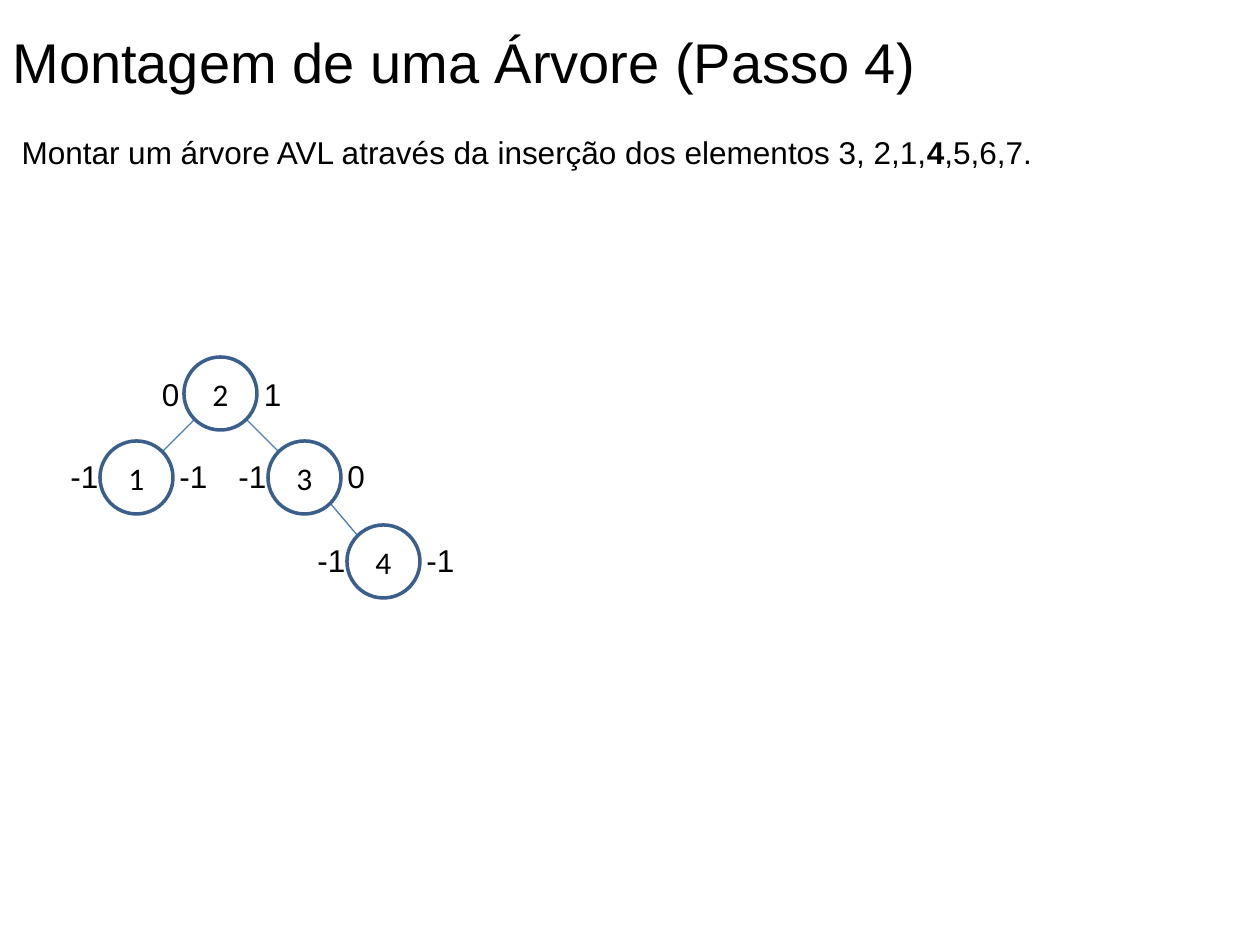
from dataclasses import dataclass
from math import sqrt

from lxml import etree
from pptx import Presentation
from pptx.dml.color import RGBColor
from pptx.enum.shapes import MSO_CONNECTOR, MSO_SHAPE
from pptx.enum.text import MSO_ANCHOR, PP_ALIGN
from pptx.oxml.ns import qn
from pptx.util import Pt

PX = 914400 / 126
OVAL = MSO_SHAPE.OVAL
STRAIGHT = MSO_CONNECTOR.STRAIGHT
MIDDLE, TOP = MSO_ANCHOR.MIDDLE, MSO_ANCHOR.TOP
LEFT, CENTER = PP_ALIGN.LEFT, PP_ALIGN.CENTER
COLORS = {"text": "000000", "outline": "3A5F8C", "edge": "4B7EBC"}
DIAMETER = 73
LABEL_HEIGHT = 50


def emu(*lengths):
    return [round(length * PX) for length in lengths]


@dataclass
class TreeSlide:
    slide: object
    colors: dict
    text_font: str = "Arial"
    node_font: str = "Calibri"

    def color(self, name):
        return RGBColor.from_string(self.colors[name])

    def format_run(self, run, size, font, bold=False):
        run.font.size = Pt(size)
        run.font.name = font
        run.font.bold = bold
        run.font.color.rgb = self.color("text")

    def text(self, box, parts, size=18, align=LEFT, wrap=False, indent=0):
        shape = self.slide.shapes.add_textbox(*emu(*box))
        frame = shape.text_frame
        frame.word_wrap = wrap
        frame.vertical_anchor = TOP
        frame.margin_left += emu(indent)[0]
        paragraph = frame.paragraphs[0]
        paragraph.alignment = align
        for content, bold in parts:
            run = paragraph.add_run()
            run.text = content
            self.format_run(run, size, self.text_font, bold)

    def node(self, left, top, value):
        shape = self.slide.shapes.add_shape(OVAL, *emu(left, top, DIAMETER, DIAMETER))
        shape.shadow.inherit = False
        shape.fill.background()
        shape.line.color.rgb = self.color("outline")
        shape.line.width = Pt(2)
        frame = shape.text_frame
        frame.text = value
        frame.vertical_anchor = MIDDLE
        paragraph = frame.paragraphs[0]
        paragraph.alignment = CENTER
        self.format_run(paragraph.runs[0], 18, self.node_font)

    def edge(self, parent, child):
        side = 1 if child[0] > parent[0] else -1
        center = DIAMETER / 2
        reach = center / sqrt(2)
        points = (
            parent[0] + center + side * reach, parent[1] + center + reach,
            child[0] + center - side * reach, child[1] + center - reach,
        )
        connector = self.slide.shapes.add_connector(STRAIGHT, *emu(*points))
        connector.line.color.rgb = self.color("edge")
        connector.line.width = Pt(0.75)
        etree.SubElement(connector._element.spPr, qn("a:effectLst"))

    def heights(self, left, top, drop, left_height, right_height):
        negative = left_height.startswith("-")
        left_offset, left_width = (42, 63) if negative else (35, 43)
        right_width = 54 if right_height.startswith("-") else 43
        align = LEFT if negative else CENTER
        labels = (
            (left - left_offset, left_width, left_height),
            (left + DIAMETER - 6, right_width, right_height),
        )
        for label_left, width, value in labels:
            box = (label_left, top + drop, width, LABEL_HEIGHT)
            self.text(box, [(value, False)], align=align)


def main():
    presentation = Presentation()
    presentation.slide_width, presentation.slide_height = emu(1260, 945)
    slide = presentation.slides.add_slide(presentation.slide_layouts[6])
    tree = TreeSlide(slide, COLORS)

    tree.text((0, 21, 951, 149), [("Montagem de uma Árvore (Passo 4)", False)], size=32)
    statement = [
        ("Montar um árvore AVL através da inserção dos elementos 3, 2,1,", False),
        ("4", True),
        (",5,6,7.", False),
    ]
    tree.text((0, 127, 1239, 50), statement, wrap=True, indent=9)

    nodes = {
        "2": (184, 357, 12, "0", "1"),
        "1": (100, 441, 10, "-1", "-1"),
        "3": (268, 441, 10, "-1", "0"),
        "4": (347, 525, 10, "-1", "-1"),
    }
    for parent, child in (("2", "1"), ("2", "3"), ("3", "4")):
        tree.edge(nodes[parent], nodes[child])
    for value, (left, top, drop, left_height, right_height) in nodes.items():
        tree.node(left, top, value)
        tree.heights(left, top, drop, left_height, right_height)

    presentation.save("out.pptx")


if __name__ == "__main__":
    main()
